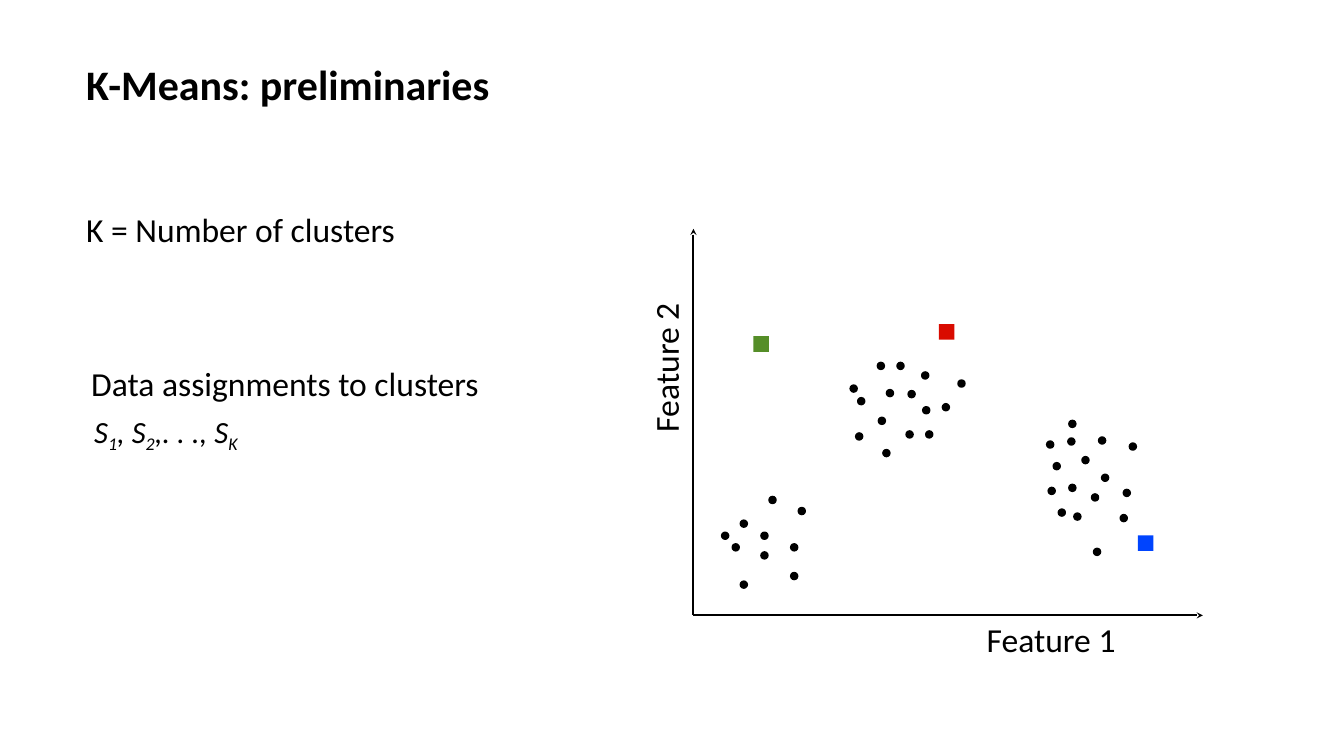
from lxml.etree import SubElement
from pptx import Presentation
from pptx.dml.color import RGBColor
from pptx.enum.shapes import MSO_CONNECTOR, MSO_SHAPE
from pptx.enum.text import MSO_ANCHOR
from pptx.oxml.ns import qn
from pptx.util import Inches, Pt

COLORS = {"black": "000000", "green": "558E28", "red": "D90B00", "blue": "0044FE"}
DOT_SIZE = 0.14
CENTROID_SIZE = 0.31

presentation = Presentation()
presentation.slide_width = Inches(26.67)
presentation.slide_height = Inches(15)
slide = presentation.slides.add_slide(presentation.slide_layouts[6])


def add_text(runs, left, top, width, height, size, anchor=MSO_ANCHOR.TOP, inset=True):
    box = slide.shapes.add_textbox(Inches(left), Inches(top), Inches(width), Inches(height))
    frame = box.text_frame
    frame.word_wrap = True
    frame.vertical_anchor = anchor
    if not inset:
        frame.margin_left = frame.margin_right = frame.margin_top = frame.margin_bottom = 0
    paragraph = frame.paragraphs[0]
    paragraph.font.name = "Calibri"
    paragraph.font.size = Pt(size)
    paragraph.font.color.rgb = RGBColor.from_string(COLORS["black"])
    for text, subscript in runs:
        run = paragraph.add_run()
        run.text = text
        if subscript:
            run.font._element.set("baseline", "-25000")
    return box


def add_marker(kind, left, top, size, color):
    marker = slide.shapes.add_shape(kind, Inches(left), Inches(top), Inches(size), Inches(size))
    marker.shadow.inherit = False
    marker.fill.solid()
    marker.fill.fore_color.rgb = RGBColor.from_string(COLORS[color])
    marker.line.fill.background()
    return marker


title = add_text([("K-Means: preliminaries", False)], 1.71, 1.11, 19.04, 1.11, 60, MSO_ANCHOR.MIDDLE, False)
title.text_frame.paragraphs[0].font.bold = True

for tip_x, tip_y in [(13.76, 4.54), (23.87, 12.21)]:
    axis = slide.shapes.add_connector(
        MSO_CONNECTOR.STRAIGHT, Inches(tip_x), Inches(tip_y), Inches(13.76), Inches(12.21)
    )
    axis.line.color.rgb = RGBColor.from_string(COLORS["black"])
    axis.line.width = Pt(3)
    SubElement(axis.line._get_or_add_ln(), qn("a:headEnd"), type="stealth")
    SubElement(axis._element.spPr, qn("a:effectLst"))

add_text([("Feature 1", False)], 19.58, 12.2, 7.08, 0.96, 48, MSO_ANCHOR.MIDDLE, False)
vertical_label = add_text([("Feature 2", False)], 10.99, 5.88, 4.43, 0.96, 48, MSO_ANCHOR.MIDDLE, False)
vertical_label.rotation = 270

clusters = {
    "top": [
        (17.41, 7.19), (18.02, 7.75), (16.87, 7.64), (17.02, 7.89), (17.59, 7.73),
        (17.8, 7.19), (17.43, 8.28), (17.98, 8.55), (18.31, 8.07), (18.29, 7.38),
        (16.98, 8.59), (17.52, 8.92), (18.7, 8.01), (18.37, 8.55), (19.01, 7.54),
    ],
    "left": [
        (14.32, 10.56), (14.69, 10.32), (14.53, 10.79), (15.1, 10.56), (15.1, 10.95),
        (15.69, 10.79), (14.69, 11.53), (15.69, 11.36), (15.26, 9.85), (15.84, 10.07),
    ],
    "right": [
        (21.21, 8.34), (21.19, 8.69), (20.77, 8.75), (21.8, 8.67), (21.47, 9.06),
        (20.9, 9.18), (21.86, 9.41), (21.21, 9.61), (20.8, 9.67), (21, 10.1),
        (21.66, 9.8), (22.29, 9.71), (21.31, 10.18), (22.23, 10.21), (22.41, 8.79),
        (21.7, 10.88),
    ],
}
for points in clusters.values():
    for left, top in points:
        dot = add_marker(MSO_SHAPE.OVAL, left, top, DOT_SIZE, "black")
        dot.line.color.rgb = RGBColor.from_string(COLORS["black"])
        dot.line.width = Pt(2)

add_text([("K = Number of clusters", False)], 1.71, 4.14, 10.63, 1.31, 48, inset=False)

for left, top, color in [(14.95, 6.67, "green"), (18.63, 6.43, "red"), (22.58, 10.62, "blue")]:
    add_marker(MSO_SHAPE.RECTANGLE, left, top, CENTROID_SIZE, color)

add_text([("Data assignments to clusters", False)], 1.71, 7.15, 9.5, 0.91, 48)
assignments = add_text(
    [("S", False), ("1", True), (", S", False), ("2", True), (",. . ., S", False), ("K", True)],
    1.77, 8.13, 8.25, 0.84, 44,
)
assignments.text_frame.paragraphs[0].font.italic = True

presentation.save("out.pptx")
